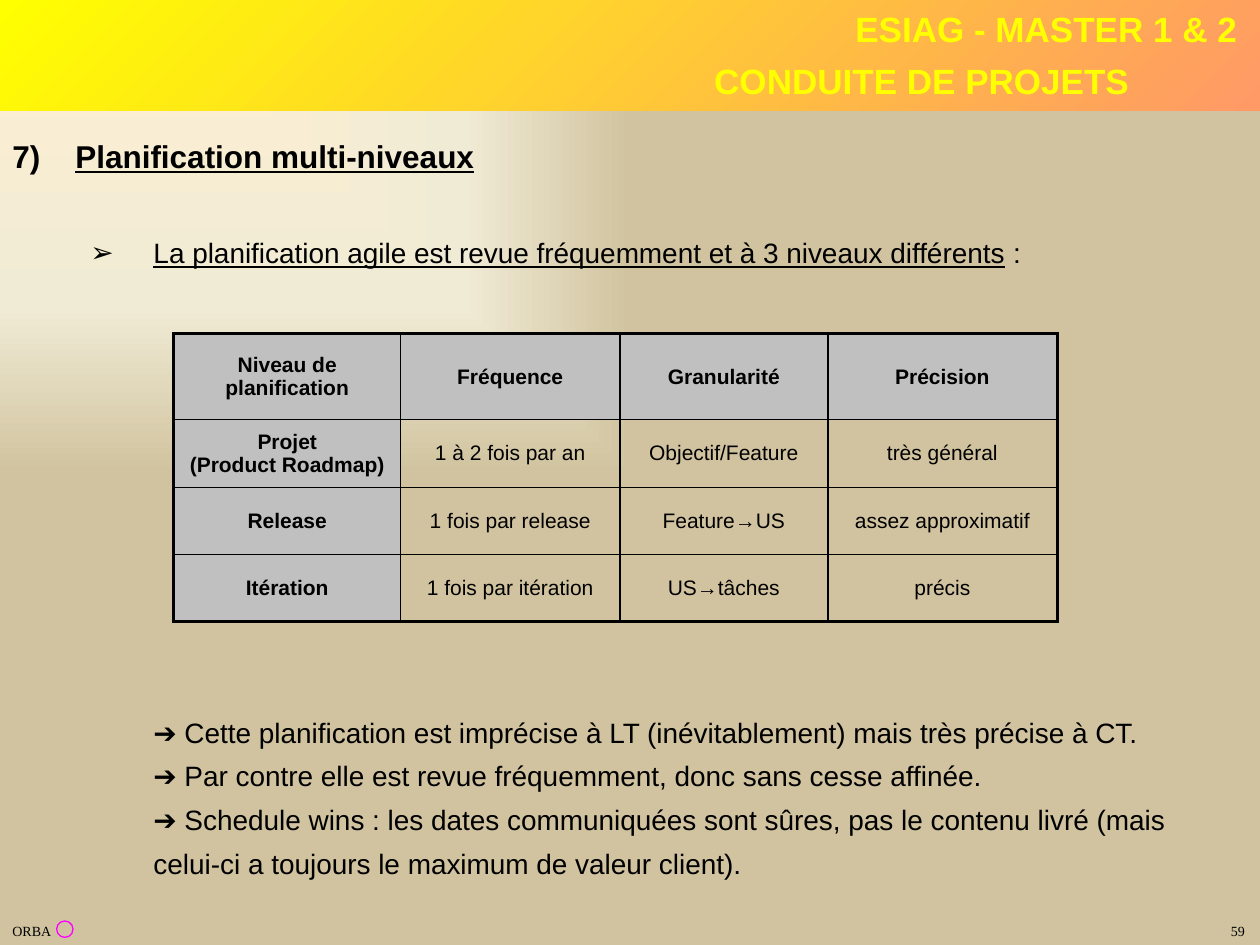
from pptx import Presentation
from pptx.dml.color import RGBColor
from pptx.enum.shapes import MSO_SHAPE
from pptx.enum.text import MSO_ANCHOR, MSO_AUTO_SIZE, PP_ALIGN
from pptx.oxml import parse_xml
from pptx.oxml.ns import nsdecls, qn
from pptx.util import Inches, Pt

RECT, OVAL = MSO_SHAPE.RECTANGLE, MSO_SHAPE.OVAL
TOP, MIDDLE = MSO_ANCHOR.TOP, MSO_ANCHOR.MIDDLE
LEFT, CENTER = PP_ALIGN.LEFT, PP_ALIGN.CENTER
GROW = MSO_AUTO_SIZE.SHAPE_TO_FIT_TEXT

# Content: header lines carry their left indent
HEADER = [("ESIAG - MASTER 1 & 2", 6.69), ("CONDUITE DE PROJETS", 5.57)]
TITLE = "Planification multi-niveaux"
LEAD = "La planification agile est revue fréquemment et à 3 niveaux différents"
NOTES = [
    "➔ Cette planification est imprécise à LT (inévitablement) mais très précise à CT.",
    "➔ Par contre elle est revue fréquemment, donc sans cesse affinée.",
    "➔ Schedule wins : les dates communiquées sont sûres, pas le contenu livré "
    "(mais celui-ci a toujours le maximum de valeur client).",
]
LEVELS = [
    ["Niveau de planification", "Fréquence", "Granularité", "Précision"],
    ["Projet\n(Product Roadmap)", "1 à 2 fois par an", "Objectif/Feature", "très général"],
    ["Release", "1 fois par release", "Feature→US", "assez approximatif"],
    ["Itération", "1 fois par itération", "US→tâches", "précis"],
]
COLS = [1.8, 1.74, 1.65, 1.82]
ROWS = [0.68, 0.54, 0.53, 0.53]
FOOTER = [("59", 9.67, 0.4, 0.23), ("ORBA", 0, 0.47, 0.37)]

THEME = {
    "sans": "Arial", "serif": "Times New Roman",
    "ink": "000000", "head": "FFFF00", "label": "C0C0C0", "mark": "FF00FF",
    "page": [(0, "FFEFD1"), (65, "F0EBD5"), (100, "D1C39F")],
    "band": [(0, "FFFF00"), (100, "FF9966")],
    "big": 20, "title": 18, "body": 16, "cell": 12, "small": 8,
}
CORNER = '<a:path path="rect"><a:fillToRect r="100000" b="100000"/></a:path>'
SLANT = '<a:lin ang="2700000" scaled="1"/>'


def style(font, size, color="ink", face="sans", bold=False):
    font.name, font.size, font.bold = THEME[face], Pt(THEME[size]), bold
    font.color.rgb = RGBColor.from_string(THEME[color])


def blend(fill, host, stops, way):
    """Give the host a gradient with these stops and direction."""
    fill.gradient()
    old = host.find(".//" + qn("a:gradFill"))
    marks = "".join(
        f'<a:gs pos="{pos * 1000}"><a:srgbClr val="{color}"/></a:gs>'
        for pos, color in stops)
    old.getparent().replace(old, parse_xml(
        f'<a:gradFill {nsdecls("a")} rotWithShape="1">'
        f'<a:gsLst>{marks}</a:gsLst>{way}</a:gradFill>'))


def indent(para, left, hang=0.0, *bullet):
    props = para._p.get_or_add_pPr()
    props.set("marL", str(Inches(left)))
    props.set("indent", str(Inches(-hang)))
    for part in bullet:
        props.append(parse_xml(f'<a:{part} {nsdecls("a")}/>'))


def border(cell, row, col):
    """Thick lines round the table, thin lines inside."""
    outer = {"L": col == 0, "R": col == len(COLS) - 1,
             "T": row == 0, "B": row == len(ROWS) - 1}
    props = cell._tc.get_or_add_tcPr()
    for side, edge in outer.items():
        props.append(parse_xml(
            f'<a:ln{side} {nsdecls("a")} w="{Pt(2 if edge else 1)}"><a:solidFill>'
            f'<a:srgbClr val="{THEME["ink"]}"/></a:solidFill></a:ln{side}>'))


def add_footer(slide):
    for text, left, width, height in FOOTER:
        box = slide.shapes.add_textbox(
            Inches(left), Inches(7.27), Inches(width), Inches(height))
        frame = box.text_frame
        frame.word_wrap, frame.auto_size = False, GROW
        frame.margin_right = 0
        frame.text = text
        frame.paragraphs[0].alignment = LEFT
        style(frame.paragraphs[0].runs[0].font, "small", face="serif")
    # Plain mark beside the name
    mark = slide.shapes.add_shape(
        OVAL, Inches(0.45), Inches(7.31), Inches(0.13), Inches(0.13))
    mark.shadow.inherit = False
    mark.fill.background()
    mark.line.color.rgb = RGBColor.from_string(THEME["mark"])
    mark.line.width = Pt(0.75)


def add_header(slide):
    band = slide.shapes.add_shape(RECT, 0, 0, Inches(10), Inches(0.88))
    band.shadow.inherit = False
    band.line.fill.background()
    blend(band.fill, band.element, THEME["band"], SLANT)
    frame = band.text_frame
    frame.vertical_anchor, frame.margin_top = TOP, Inches(0.06)
    frame.text = "\n".join(text for text, _ in HEADER)
    for num, (para, (_, left)) in enumerate(zip(frame.paragraphs, HEADER)):
        indent(para, left)
        para.alignment = LEFT
        para.space_before = Pt(5.5 if num else 0)
        style(para.font, "big", "head", bold=True)


def add_body(slide):
    box = slide.shapes.add_textbox(0, Inches(0.95), Inches(10), Inches(6.44))
    frame = box.text_frame
    frame.word_wrap, frame.margin_right = True, Inches(0.3)
    frame.text = "\n".join([TITLE, LEAD, *NOTES])
    paras = frame.paragraphs
    title, lead, *notes = paras
    for para in paras:
        para.line_spacing, para.space_before = 1.3, Pt(0)
    lead.space_before, notes[0].space_before = Pt(29), Pt(249)
    indent(title, 0.5, 0.5, 'buAutoNum type="arabicParenR" startAt="7"')
    indent(lead, 1.12, 0.5, f'buFont typeface="{THEME["sans"]}"', 'buChar char="➢"')
    for para in notes:
        indent(para, 1.12)
    lead.add_run().text = " :"
    style(title.runs[0].font, "title", bold=True)
    for para in (lead, *notes):
        for run in para.runs:
            style(run.font, "body")
    for para in (title, lead):
        para.runs[0].font.underline = True


def add_levels(slide):
    table = slide.shapes.add_table(
        len(ROWS), len(COLS), Inches(1.38), Inches(2.65),
        Inches(sum(COLS)), Inches(sum(ROWS))).table
    table.first_row = table.horz_banding = False
    for col, width in enumerate(COLS):
        table.columns[col].width = Inches(width)
    for row, texts in enumerate(LEVELS):
        table.rows[row].height = Inches(ROWS[row])
        for col, text in enumerate(texts):
            cell = table.cell(row, col)
            label = row == 0 or col == 0
            border(cell, row, col)
            if label:
                cell.fill.solid()
                cell.fill.fore_color.rgb = RGBColor.from_string(THEME["label"])
            else:
                cell.fill.background()
            cell.vertical_anchor = MIDDLE
            cell.text_frame.text = text
            for para in cell.text_frame.paragraphs:
                para.alignment = CENTER
                for run in para.runs:
                    style(run.font, "cell", bold=label)


def main():
    deck = Presentation()
    deck.slide_width, deck.slide_height = Inches(10), Inches(7.5)
    slide = deck.slides.add_slide(deck.slide_layouts[6])
    blend(slide.background.fill, slide.element, THEME["page"], CORNER)
    add_footer(slide)
    add_header(slide)
    add_body(slide)
    add_levels(slide)
    deck.save("out.pptx")


if __name__ == "__main__":
    main()
